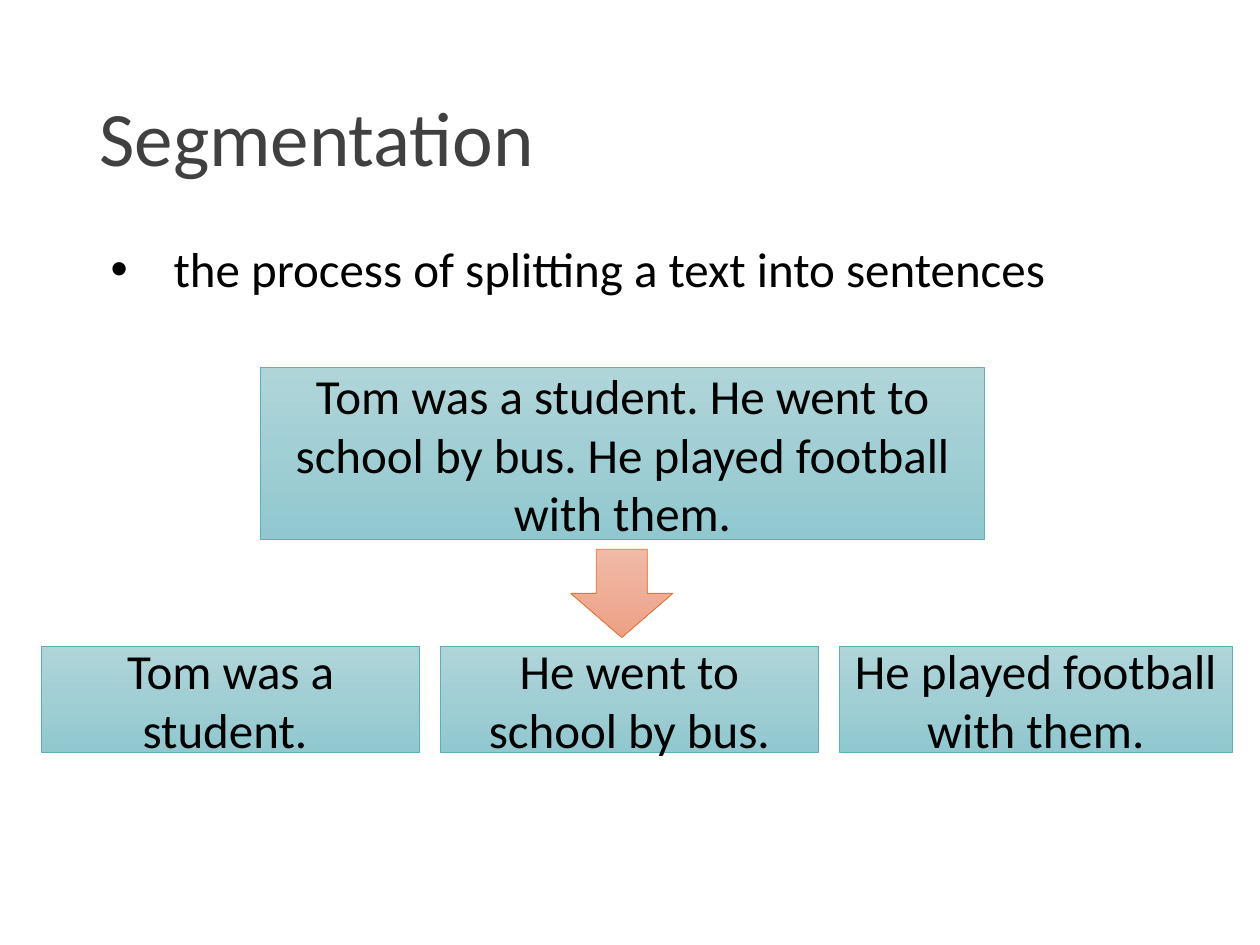
"""Build a slide that explains how segmentation splits a text into sentences."""
from lxml import etree
from pptx import Presentation
from pptx.dml.color import RGBColor
from pptx.enum import shapes, text
from pptx.oxml.ns import qn
from pptx.util import Inches, Pt

FONT = "Calibri"
BLACK = RGBColor(0x00, 0x00, 0x00)
TITLE_GREY = RGBColor(0x40, 0x40, 0x40)
TEAL = (RGBColor(0xAF, 0xD5, 0xD9), RGBColor(0x91, 0xC8, 0xCF))
TEAL_LINE = RGBColor(0x59, 0xB0, 0xB9)
ORANGE = (RGBColor(0xF0, 0xBA, 0xA7), RGBColor(0xED, 0xA1, 0x85))
ORANGE_LINE = RGBColor(0xE0, 0x77, 0x3C)

SENTENCES = (
    ("Tom was a student. ", 3),
    ("He went to school by bus.", 3),
    ("He played football with them.", 3.12),
)
ROW_LEFT, ROW_TOP, ROW_HEIGHT, ROW_GAP = 0.33, 5.13, 0.84, 0.165


def place(shape, left, top, width, height):
    """Move and size a shape, in inches."""
    shape.left, shape.top = Inches(left), Inches(top)
    shape.width, shape.height = Inches(width), Inches(height)


def write(shape, words, size, color, align=text.PP_ALIGN.LEFT,
          anchor=text.MSO_ANCHOR.MIDDLE):
    """Set one formatted paragraph in a shape and return it."""
    frame = shape.text_frame
    frame.text = words
    frame.word_wrap = True
    frame.auto_size = text.MSO_AUTO_SIZE.NONE
    frame.vertical_anchor = anchor
    para = frame.paragraphs[0]
    para.alignment = align
    font = para.runs[0].font
    font.name, font.size, font.color.rgb = FONT, Pt(size), color
    return para


def add_title(page, words):
    """Fill the title placeholder."""
    title = page.shapes.title
    place(title, 0.69, 0.4, 8.62, 1.45)
    write(title, words, 44, TITLE_GREY).line_spacing = 0.9


def add_bullet(page, words):
    """Add the bulleted definition."""
    box = page.shapes.add_textbox(
        Inches(0.78), Inches(1.9), Inches(8.37), Inches(4.4))
    para = write(box, words, 28, BLACK, anchor=text.MSO_ANCHOR.TOP)
    para.line_spacing = 0.9
    properties = para._p.get_or_add_pPr()
    properties.set("marL", str(Inches(0.5)))
    properties.set("indent", str(-Inches(0.5)))
    etree.SubElement(properties, qn("a:buFont")).set("typeface", "Arial")
    etree.SubElement(properties, qn("a:buChar")).set("char", "•")


def add_gradient_shape(page, kind, left, top, width, height, colors, line):
    """Add a shape with a downward gradient and a thin outline."""
    shape = page.shapes.add_shape(
        kind, Inches(left), Inches(top), Inches(width), Inches(height))
    shape.shadow.inherit = False
    shape.fill.gradient()
    shape.fill.gradient_angle = 270
    for stop, color in zip(shape.fill.gradient_stops, colors):
        stop.color.rgb = color
    shape.line.color.rgb = line
    shape.line.width = Pt(0.5)
    return shape


def add_text_block(page, words, left, top, width, height):
    """Add a teal rectangle with centred text."""
    block = add_gradient_shape(page, shapes.MSO_SHAPE.RECTANGLE, left, top,
                               width, height, TEAL, TEAL_LINE)
    write(block, words, 28, BLACK, text.PP_ALIGN.CENTER)


def main():
    """Build and save the deck."""
    deck = Presentation()
    deck.slide_width, deck.slide_height = Inches(10), Inches(7.5)
    page = deck.slides.add_slide(deck.slide_layouts[5])
    add_title(page, "Segmentation")
    add_bullet(page, "the process of splitting a text into sentences")
    add_text_block(
        page,
        "Tom was a student. He went to school by bus. "
        "He played football with them.",
        2.07, 2.92, 5.74, 1.36)
    left = ROW_LEFT
    for words, width in SENTENCES:
        add_text_block(page, words, left, ROW_TOP, width, ROW_HEIGHT)
        left += width + ROW_GAP
    add_gradient_shape(page, shapes.MSO_SHAPE.DOWN_ARROW,
                       4.53, 4.36, 0.81, 0.7, ORANGE, ORANGE_LINE)
    deck.save("out.pptx")


if __name__ == "__main__":
    main()
